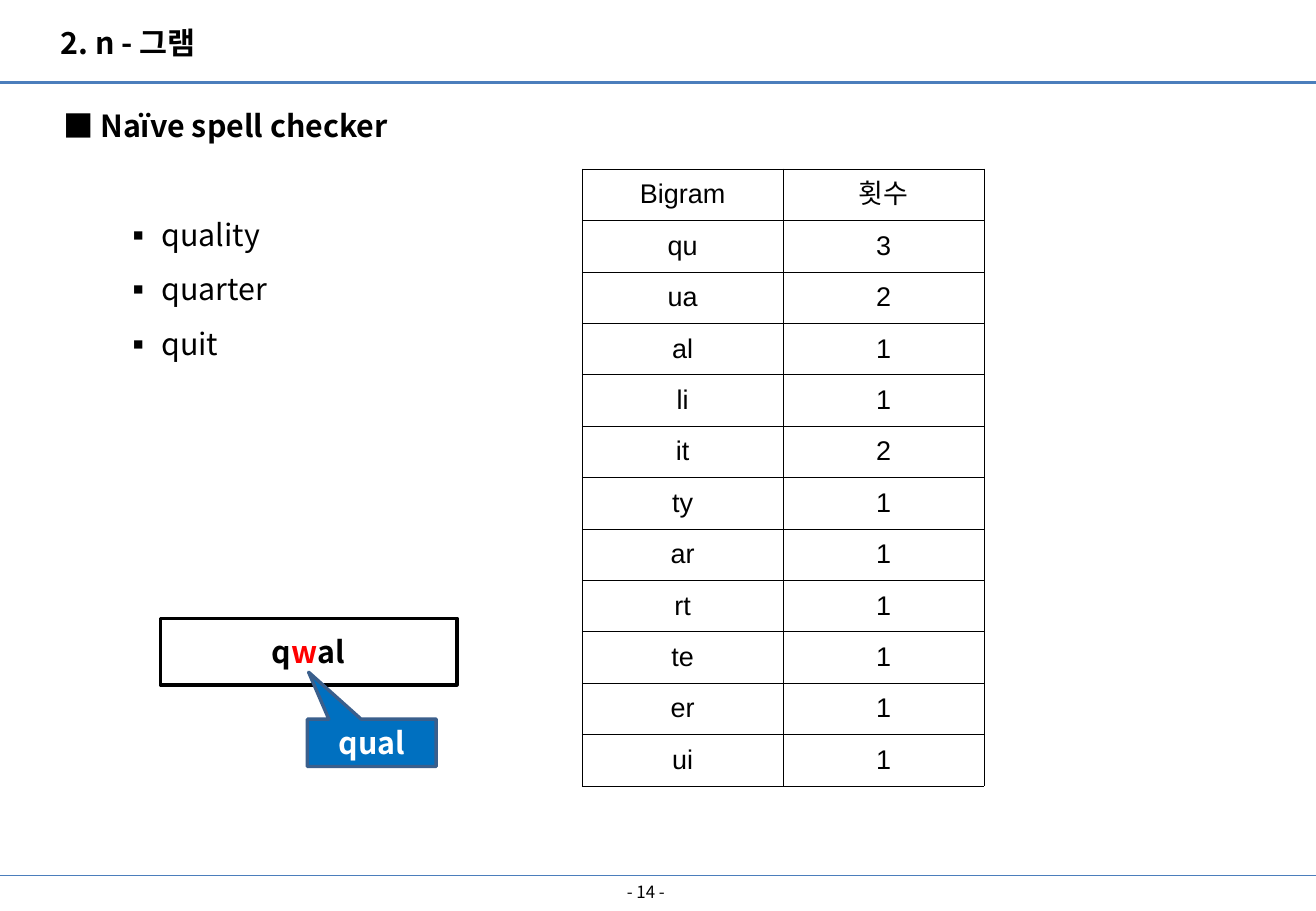
from lxml import etree
from pptx import Presentation
from pptx import util as u
from pptx.dml.color import RGBColor
from pptx.enum import shapes, text
from pptx.oxml import ns

HUE = {"ink": "000000", "rule": "4B7EBC", "red": "FF0000",
       "blue": "0070C0", "edge": "3A5F8C", "white": "FFFFFF"}
NOTO = "Noto Sans CJK KR"
MID = {"alignment": text.PP_ALIGN.CENTER}


def tint(name):
    return RGBColor.from_string(HUE[name])


def put(item, form):
    for key, val in form.items():
        setattr(item, key, val)


def sub(node, tag, **attrs):
    return etree.SubElement(node, ns.qn(tag), attrs)


class Page:
    base = {"size": u.Pt(18), "name": NOTO, "bold": True}

    def __init__(self, slide):
        self.slide = slide
        self.items = slide.shapes

    def label(self, para, runs, form=None, **font):
        """Fill a paragraph with (words, colour) runs."""
        put(para, form or {})
        for words, hue in runs:
            run = para.add_run()
            run.text = words
            put(run.font, {**self.base, **font})
            run.font.color.rgb = tint(hue)
            sub(run.font._element, "a:ea", typeface=run.font.name)

    def rule(self, y, width):
        line = self.items.add_connector(
            shapes.MSO_CONNECTOR.STRAIGHT, 0, u.Inches(y), u.Inches(10.83), u.Inches(y))
        line.line.color.rgb = tint("rule")
        line.line.width = u.Pt(width)
        sub(line._element.spPr, "a:effectLst")

    def box(self, at, **form):
        frame = self.items.add_textbox(*map(u.Inches, at)).text_frame
        put(frame, {"word_wrap": True, **form})
        return frame

    def bullet(self, para, mark):
        props = para._p.get_or_add_pPr()
        for key, val in {"marL": 0.81, "indent": -0.31}.items():
            props.set(key, str(u.Inches(val)))
        sub(props, "a:buFont", typeface=NOTO)
        sub(props, "a:buChar", char=mark)

    def shape(self, kind, at, runs, edge, fill=None, adjust=()):
        item = self.items.add_shape(kind, *map(u.Inches, at))
        item.shadow.inherit = False
        for i, val in enumerate(adjust):
            item.adjustments[i] = val
        if fill:
            item.fill.solid()
            item.fill.fore_color.rgb = tint(fill)
        else:
            item.fill.background()
        item.line.color.rgb = tint(edge)
        item.line.width = u.Pt(2)
        item.text_frame.vertical_anchor = text.MSO_ANCHOR.MIDDLE
        self.label(item.text_frame.paragraphs[0], runs, MID)

    def border(self, cell):
        props = cell._tc.get_or_add_tcPr()
        for side in "LRTB":
            line = sub(props, "a:ln" + side, w=str(u.Pt(0.25)))
            sub(sub(line, "a:solidFill"), "a:srgbClr", val=HUE["ink"])

    def table(self, at, rows):
        grid = self.items.add_table(len(rows), len(rows[0]), *map(u.Inches, at)).table
        put(grid, {"first_row": False, "horz_banding": False})
        for r, row in enumerate(rows):
            for c, words in enumerate(row):
                cell = grid.cell(r, c)
                self.border(cell)
                cell.fill.background()
                cell.vertical_anchor = text.MSO_ANCHOR.MIDDLE
                self.label(cell.text_frame.paragraphs[0], [(words, "ink")], MID,
                           size=u.Pt(16), name="Arial", bold=False)


deck = Presentation()
put(deck, {"slide_width": u.Inches(10.83), "slide_height": u.Inches(7.5)})
page = Page(deck.slides.add_slide(deck.slide_layouts[6]))

# Header and footer rules
page.rule(0.68, 2.25)
page.rule(7.21, 0.75)

# Heading and word list
body = page.box((0.42, 0.68, 9.88, 2.37))
page.label(body.paragraphs[0], [("■ Naïve spell checker", "ink")],
           {"line_spacing": 1.5, "space_after": u.Pt(32.3)})
for word in ("quality", "quarter", "quit"):
    para = body.add_paragraph()
    page.label(para, [(word, "ink")], {"level": 1, "line_spacing": 1.5}, bold=False)
    page.bullet(para, "▪")

# Title and page number
title = page.box((0.4, 0.15, 1.45, 0.4), word_wrap=False)
page.label(title.paragraphs[0], [("2. n - 그램", "ink")])
foot = page.box((4.05, 7.21, 2.53, 0.26), vertical_anchor=text.MSO_ANCHOR.MIDDLE)
page.label(foot.paragraphs[0], [("- 14 -", "ink")], MID, size=u.Pt(10), bold=False)

# Bigram counts
counts = {"qu": 3, "ua": 2, "al": 1, "li": 1, "it": 2, "ty": 1,
          "ar": 1, "rt": 1, "te": 1, "er": 1, "ui": 1}
page.table((4.79, 1.39, 3.31, 5.08),
           [("Bigram", "횟수")] + [(pair, str(n)) for pair, n in counts.items()])

# Misspelt word and its correction
page.shape(shapes.MSO_SHAPE.RECTANGLE, (1.32, 5.09, 2.44, 0.55),
           [("q", "ink"), ("w", "red"), ("al", "ink")], "ink")
page.shape(shapes.MSO_SHAPE.RECTANGULAR_CALLOUT, (2.53, 5.92, 1.06, 0.39),
           [("qual", "white")], "edge", "blue", (-0.49, -1.49))

deck.save("out.pptx")
